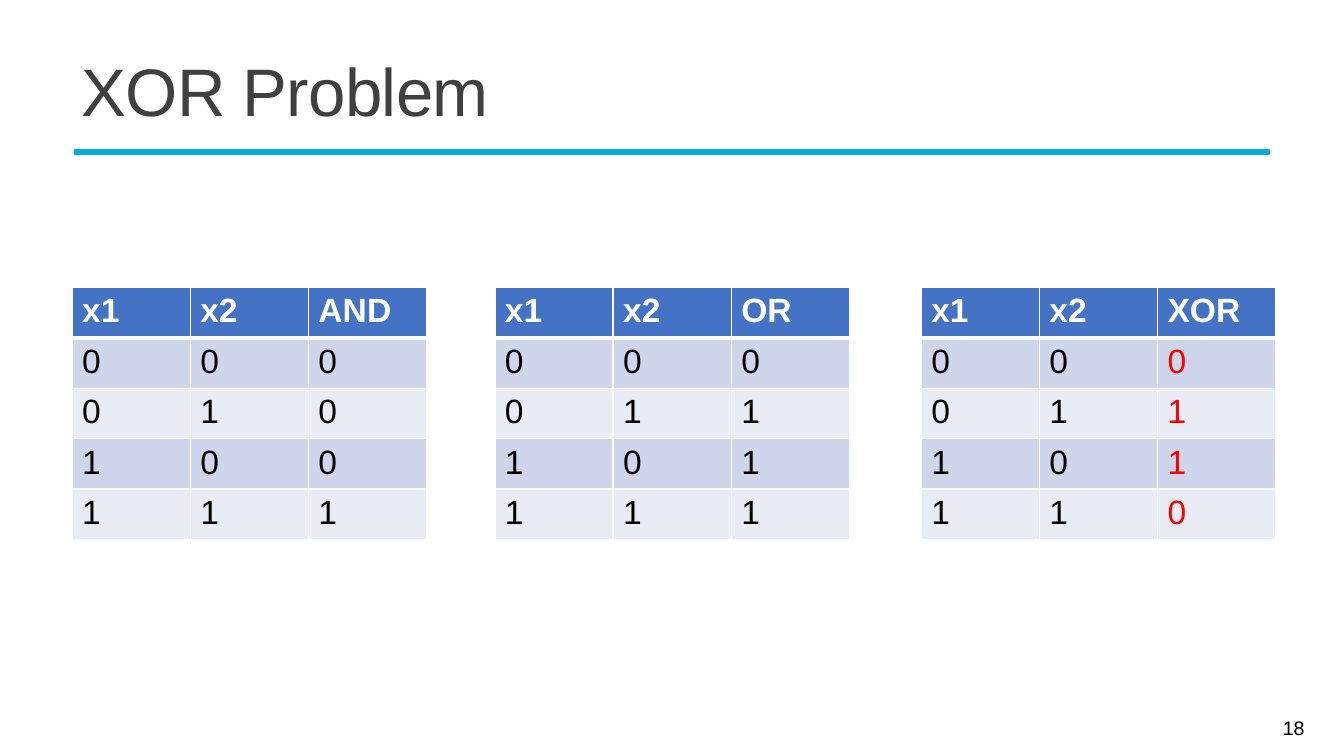
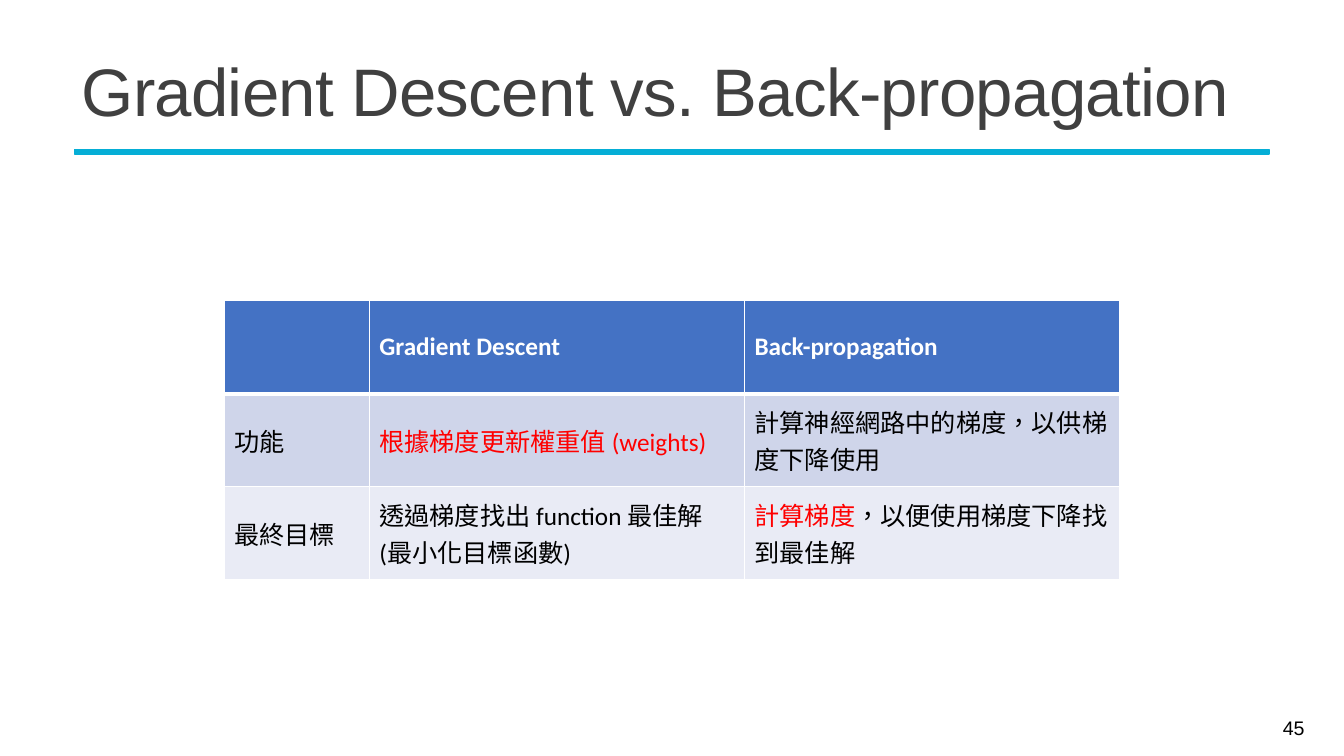
from itertools import product

from lxml import etree
from pptx import Presentation
from pptx.dml.color import RGBColor
from pptx.enum import lang, shapes, text
from pptx.oxml import ns
from pptx.util import Pt

CYAN = RGBColor(0x05, 0xAE, 0xD6)
GREY = RGBColor(0x40, 0x40, 0x40)
BLACK = RGBColor(0, 0, 0)
WHITE = RGBColor(0xFF, 0xFF, 0xFF)
RED = RGBColor(0xFF, 0, 0)
BLUE = RGBColor(0x44, 0x72, 0xC4)
BANDS = RGBColor(0xCF, 0xD5, 0xEA), RGBColor(0xE9, 0xEB, 0xF5)

TITLE = {"name": "Arial", "size": Pt(48), "bold": False}
NUMBER = {"name": "Arial", "size": Pt(14)}
LOGIC = {"name": "Arial", "size": Pt(24)}
PROSE = {"name": "Calibri", "size": Pt(18),
         "language_id": lang.MSO_LANGUAGE_ID.TRADITIONAL_CHINESE}

TOP, MID = text.MSO_ANCHOR.TOP, text.MSO_ANCHOR.MIDDLE


def write(para, words, style, color):
    run = para.add_run()
    run.text = words
    for key, value in style.items():
        setattr(run.font, key, value)
    run.font.color.rgb = color
    return run


def place(shape, box):
    for key, value in zip(("left", "top", "width", "height"), box):
        setattr(shape, key, Pt(value))


def frame(deck, title, number):
    """Add a slide with its title, rule and page number."""
    slide = deck.slides.add_slide(deck.slide_layouts[5])

    rule = slide.shapes.add_shape(
        shapes.MSO_SHAPE.RECTANGLE, *map(Pt, (53.2, 106.8, 853.4, 3.3)))
    rule.shadow.inherit = False
    rule.fill.solid()
    rule.fill.fore_color.rgb = CYAN
    rule.line.color.rgb = CYAN
    rule.line.width = Pt(1.25)

    head = slide.shapes.title
    place(head, (51, 28, 860, 81.5))
    head.text_frame.vertical_anchor = MID
    para = head.text_frame.paragraphs[0]
    para.alignment = text.PP_ALIGN.LEFT
    para.line_spacing = 0.85
    run = write(para, title, TITLE, GREY)
    run.font._element.set("spc", "-50")

    page = slide.shapes.add_textbox(*map(Pt, (836, 505.4, 103, 28.8)))
    page.text_frame.word_wrap = True
    page.text_frame.vertical_anchor = MID
    para = page.text_frame.paragraphs[0]
    para.alignment = text.PP_ALIGN.RIGHT
    write(para, str(number), NUMBER, BLACK)
    return slide


def edge(cell, row):
    """Draw white cell borders, thick between header and body."""
    props = cell._tc.get_or_add_tcPr()
    thick = {(0, "lnB"), (1, "lnT")}
    for side in ("lnL", "lnR", "lnT", "lnB"):
        width = Pt(3 if (row, side) in thick else 1)
        line = etree.SubElement(props, ns.qn(f"a:{side}"), w=str(int(width)))
        fill = etree.SubElement(line, ns.qn("a:solidFill"))
        etree.SubElement(fill, ns.qn("a:srgbClr"), val=str(WHITE))


def grid(slide, left, top, widths, height, rows, style, anchor):
    """Add a banded table; a cell is a string or a list of (words, color)."""
    table = slide.shapes.add_table(
        len(rows), len(widths), Pt(left), Pt(top),
        Pt(sum(widths)), Pt(height * len(rows))).table
    for col, width in zip(table.columns, widths):
        col.width = Pt(width)
    for r, row in enumerate(rows):
        table.rows[r].height = Pt(height)
        for c, item in enumerate(row):
            cell = table.cell(r, c)
            edge(cell, r)
            cell.fill.solid()
            cell.fill.fore_color.rgb = BANDS[(r - 1) % 2] if r else BLUE
            cell.vertical_anchor = anchor
            plain = BLACK if r else WHITE
            runs = [(item, plain)] if isinstance(item, str) else item
            for words, color in runs:
                if words:
                    write(cell.text_frame.paragraphs[0], words,
                          {**style, "bold": r == 0}, color)


def truth(slide, left, name, rule, color):
    """Add the truth table of a two-input gate."""
    rows = [("x1", "x2", name)]
    for a, b in product((0, 1), repeat=2):
        rows.append((str(a), str(b), [(str(rule(a, b)), color)]))
    grid(slide, left, 205.2, [84.4] * 3, 34, rows, LOGIC, TOP)


def gates(deck):
    slide = frame(deck, "XOR Problem", 18)
    truth(slide, 51.5, "AND", lambda a, b: a & b, BLACK)
    truth(slide, 353.5, "OR", lambda a, b: a | b, BLACK)
    truth(slide, 658, "XOR", lambda a, b: a ^ b, RED)


def compare(deck):
    slide = frame(deck, "Gradient Descent vs. Back-propagation", 45)
    rows = [
        ("", "Gradient Descent", "Back-propagation"),
        ("功能", [("根據梯度更新權重值 (weights)", RED)],
         "計算神經網路中的梯度，以供梯度下降使用"),
        ("最終目標", "透過梯度找出 function 最佳解 (最小化目標函數)",
         [("計算梯度", RED), ("，以便使用梯度下降找到最佳解", BLACK)]),
    ]
    grid(slide, 160.2, 214.8, (103.6, 268, 268), 66.4, rows, PROSE, MID)


def main():
    deck = Presentation()
    deck.slide_width, deck.slide_height = Pt(960), Pt(540)
    gates(deck)
    compare(deck)
    deck.save("out.pptx")


if __name__ == "__main__":
    main()
